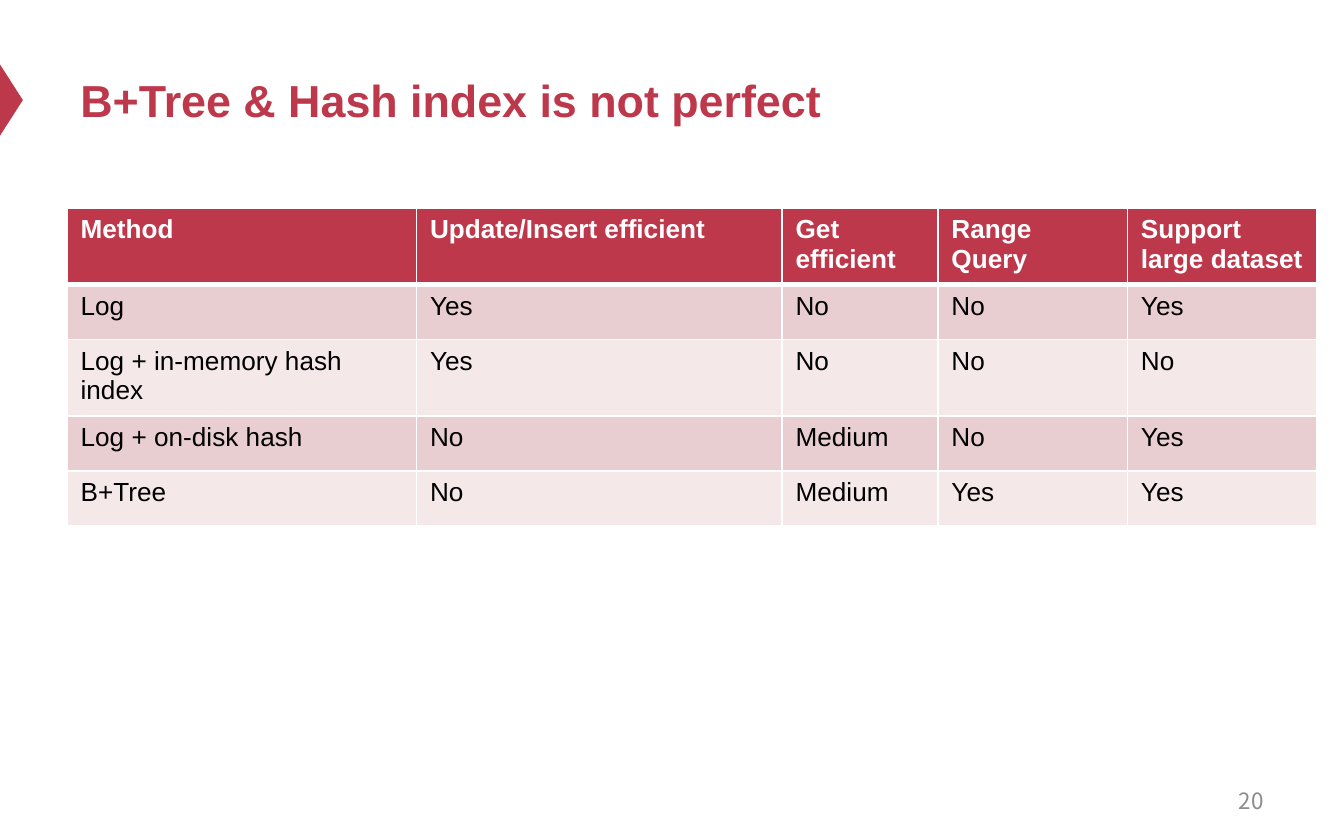
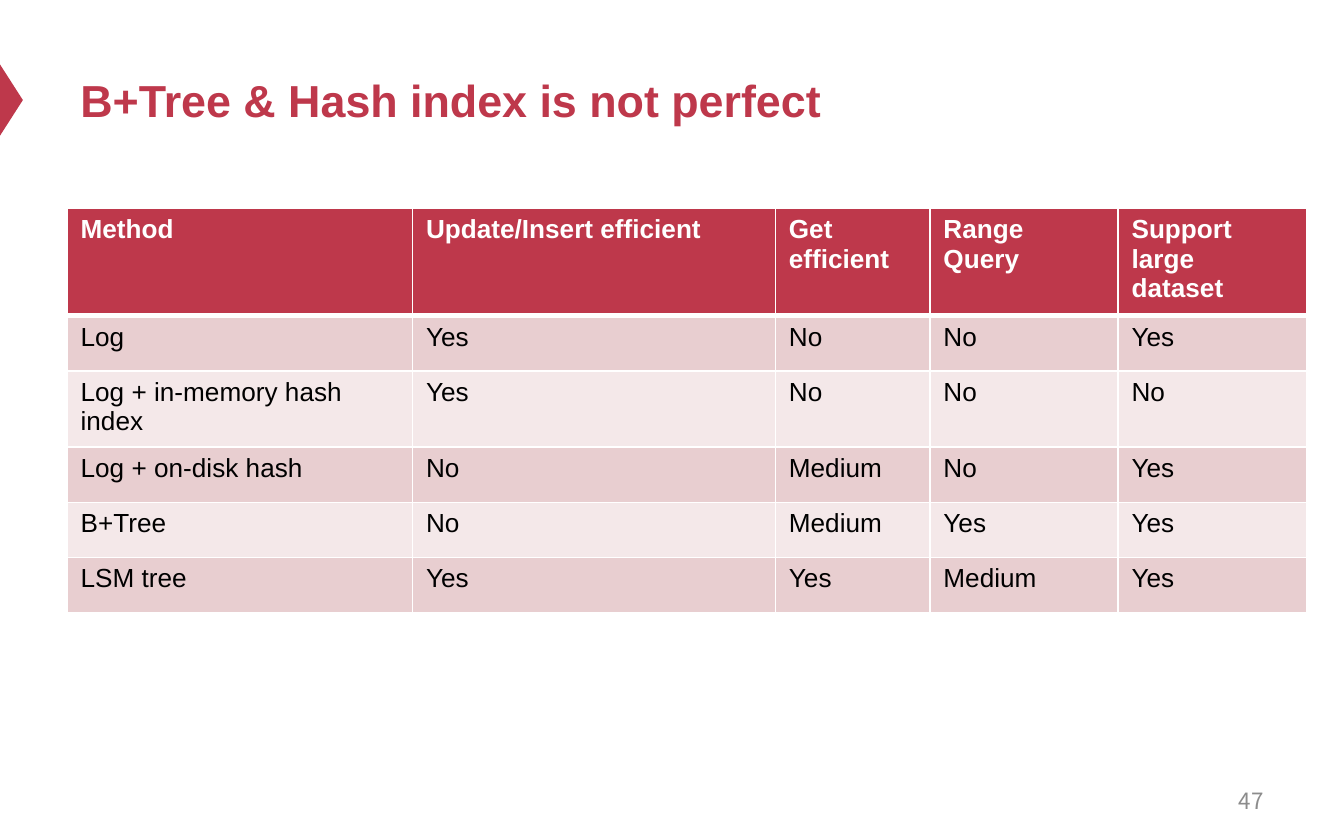
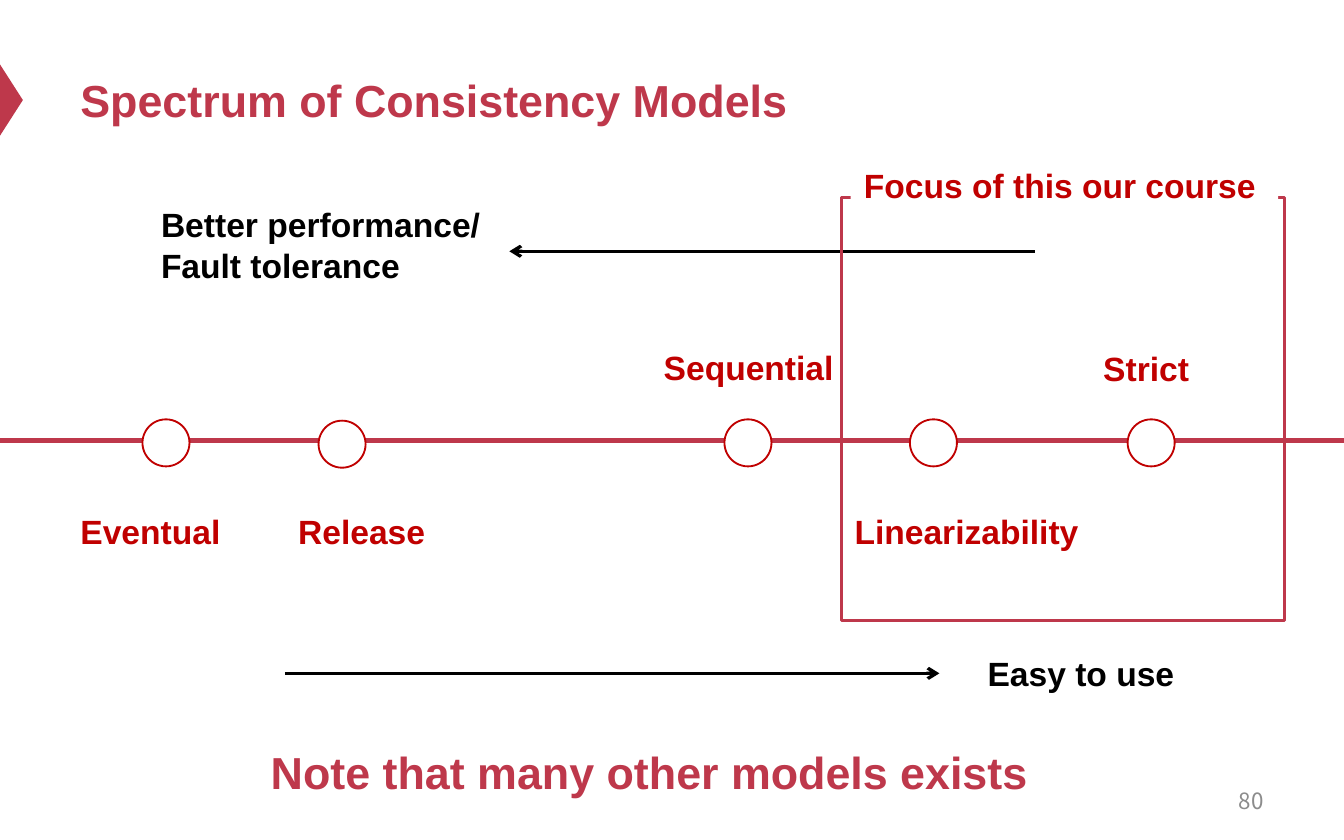
from lxml.etree import SubElement
from pptx import Presentation
from pptx.dml.color import RGBColor
from pptx.enum.shapes import MSO_CONNECTOR, MSO_SHAPE
from pptx.enum.text import MSO_ANCHOR, MSO_AUTO_SIZE, PP_ALIGN
from pptx.oxml.ns import qn
from pptx.util import Inches, Pt

WIDTH, HEIGHT = Inches(10), Inches(6.25)
UNIT = WIDTH / 100

RED, DARK_RED, BLACK, WHITE, GREY = "BE384B", "C00000", "000000", "FFFFFF", "8C8C8C"
BANDS = "E8CED0", "F4E8E9"

TITLE = {"name": "Arial", "size": Pt(24), "bold": True, "color": RED}
LABEL = {"name": "Arial", "size": Pt(18), "bold": True, "color": DARK_RED}
CAPTION = {**LABEL, "color": BLACK}
NUMBER = {"name": "Noto Sans CJK SC", "size": Pt(12), "color": GREY}
HEAD = {"name": "Arial", "size": Pt(14), "bold": True, "color": WHITE}
BODY = {**HEAD, "bold": False, "color": BLACK}

HEADINGS = ["Method", "Update/Insert efficient", "Get efficient", "Range Query",
            "Support large dataset"]
METHODS = [
    ["Log", "Yes", "No", "No", "Yes"],
    ["Log + in-memory hash index", "Yes", "No", "No", "No"],
    ["Log + on-disk hash", "No", "Medium", "No", "Yes"],
    ["B+Tree", "No", "Medium", "Yes", "Yes"],
]
LSM = ["LSM tree", "Yes", "Yes", "Medium", "Yes"]

MODELS = [
    ("Eventual", 10.6, 31.2, (5, 37.5, 12.5, 4)),
    ("Release", 23.7, 31.3, (21.2, 37.5, 12.3, 4)),
    ("Sequential", 53.9, 31.2, (48.4, 25.3, 14.8, 4)),
    ("Linearizability", 67.7, 31.2, (62.6, 37.5, 18.8, 4)),
    ("Strict", 83.9, 31.2, (81.1, 25.4, 9.2, 4)),
]


def rgb(color):
    return RGBColor.from_string(color)


def grid(*cells):
    return [round(c * UNIT) for c in cells]


def write(tf, text, style, align=PP_ALIGN.LEFT):
    for i, line in enumerate(text.split("\n")):
        p = tf.paragraphs[0] if i == 0 else tf.add_paragraph()
        p.alignment = align
        r = p.add_run()
        r.text = line
        for key, value in style.items():
            if key == "color":
                r.font.color.rgb = rgb(value)
            else:
                setattr(r.font, key, value)


def add_text(s, box, text, style, align=PP_ALIGN.LEFT):
    tf = s.shapes.add_textbox(*grid(*box)).text_frame
    tf.word_wrap = True
    tf.vertical_anchor = MSO_ANCHOR.MIDDLE
    write(tf, text, style, align)


def add_label(s, box, text, style):
    tf = s.shapes.add_textbox(*grid(*box)).text_frame
    tf.word_wrap = False
    tf.auto_size = MSO_AUTO_SIZE.SHAPE_TO_FIT_TEXT
    write(tf, text, style)


def add_shape(s, kind, box, fill=None, line=None, width=1):
    sp = s.shapes.add_shape(kind, *grid(*box))
    sp.shadow.inherit = False
    if fill:
        sp.fill.solid()
        sp.fill.fore_color.rgb = rgb(fill)
    else:
        sp.fill.background()
    if line:
        sp.line.color.rgb = rgb(line)
        sp.line.width = Pt(width)
    else:
        sp.line.fill.background()
    return sp


def add_line(s, x1, x2, y, color, width, arrow=False):
    cx = s.shapes.add_connector(MSO_CONNECTOR.STRAIGHT, *grid(x1, y, x2, y))
    cx.line.color.rgb = rgb(color)
    cx.line.width = Pt(width)
    if arrow:
        SubElement(cx.line._get_or_add_ln(), qn("a:tailEnd"), type="arrow")
    SubElement(cx._element.spPr, qn("a:effectLst"))


def add_borders(cell, widths):
    tcPr = cell._tc.get_or_add_tcPr()
    for side, width in zip("LRTB", widths):
        ln = SubElement(tcPr, qn(f"a:ln{side}"), w=str(Pt(width)))
        SubElement(SubElement(ln, qn("a:solidFill")), qn("a:srgbClr"), val=WHITE)


def add_methods_table(s, columns, methods):
    rows = [HEADINGS] + methods
    box = grid(5, 15.5, sum(columns), 4.1 * len(rows))
    table = s.shapes.add_table(len(rows), len(columns), *box).table
    for column, width in zip(table.columns, grid(*columns)):
        column.width = width
    for i, row in enumerate(rows):
        for j, text in enumerate(row):
            cell = table.cell(i, j)
            add_borders(cell, (1, 1, 3 if i == 1 else 1, 3 if i == 0 else 1))
            cell.fill.solid()
            cell.fill.fore_color.rgb = rgb(BANDS[(i - 1) % 2] if i else RED)
            write(cell.text_frame, text, BODY if i else HEAD)


def add_slide(prs, title, number):
    s = prs.slides.add_slide(prs.slide_layouts[6])
    marker = add_shape(s, MSO_SHAPE.ISOSCELES_TRIANGLE, (-1.8, 6.6, 5.3, 1.7), RED)
    marker.rotation = 90
    add_text(s, (5, 2.5, 90, 9.8), title, TITLE)
    add_text(s, (71.7, 57.9, 23.3, 3.3), str(number), NUMBER, PP_ALIGN.RIGHT)
    return s


def add_spectrum(s):
    add_line(s, -3.2, 100, 32.8, RED, 2.5)
    for name, x, y, box in MODELS:
        add_shape(s, MSO_SHAPE.OVAL, (x, y, 3.5, 3.5), WHITE, DARK_RED)
        add_label(s, box, name, LABEL)
    add_line(s, 21.2, 69.9, 50.1, BLACK, 1.75, arrow=True)
    add_label(s, (72.5, 48.1, 16, 4), "Easy to use", CAPTION)
    add_line(s, 77, 37.9, 18.7, BLACK, 1.75, arrow=True)
    add_label(s, (11, 14.7, 26, 7.1), "Better performance/\nFault tolerance", CAPTION)
    add_text(s, (3.3, 52.5, 90, 9.8), "Note that many other models exists", TITLE,
             PP_ALIGN.CENTER)


def add_focus(s):
    add_shape(s, MSO_SHAPE.RECTANGLE, (62.6, 14.7, 33, 31.5), line=RED, width=1.5)
    tag = add_shape(s, MSO_SHAPE.RECTANGLE, (63.3, 11.8, 31.8, 4), WHITE)
    tf = tag.text_frame
    tf.word_wrap = True
    tf.vertical_anchor = MSO_ANCHOR.TOP
    write(tf, "Focus of this our course", LABEL)


def main():
    prs = Presentation()
    prs.slide_width, prs.slide_height = WIDTH, HEIGHT
    title = "B+Tree & Hash index is not perfect"
    add_methods_table(add_slide(prs, title, 20), (26, 27.2, 11.6, 14.1, 14.1), METHODS)
    add_methods_table(add_slide(prs, title, 47), (25.7, 27, 11.5, 14, 14),
                      METHODS + [LSM])
    s = add_slide(prs, "Spectrum of Consistency Models", 80)
    add_spectrum(s)
    add_focus(s)
    prs.save("out.pptx")


if __name__ == "__main__":
    main()
